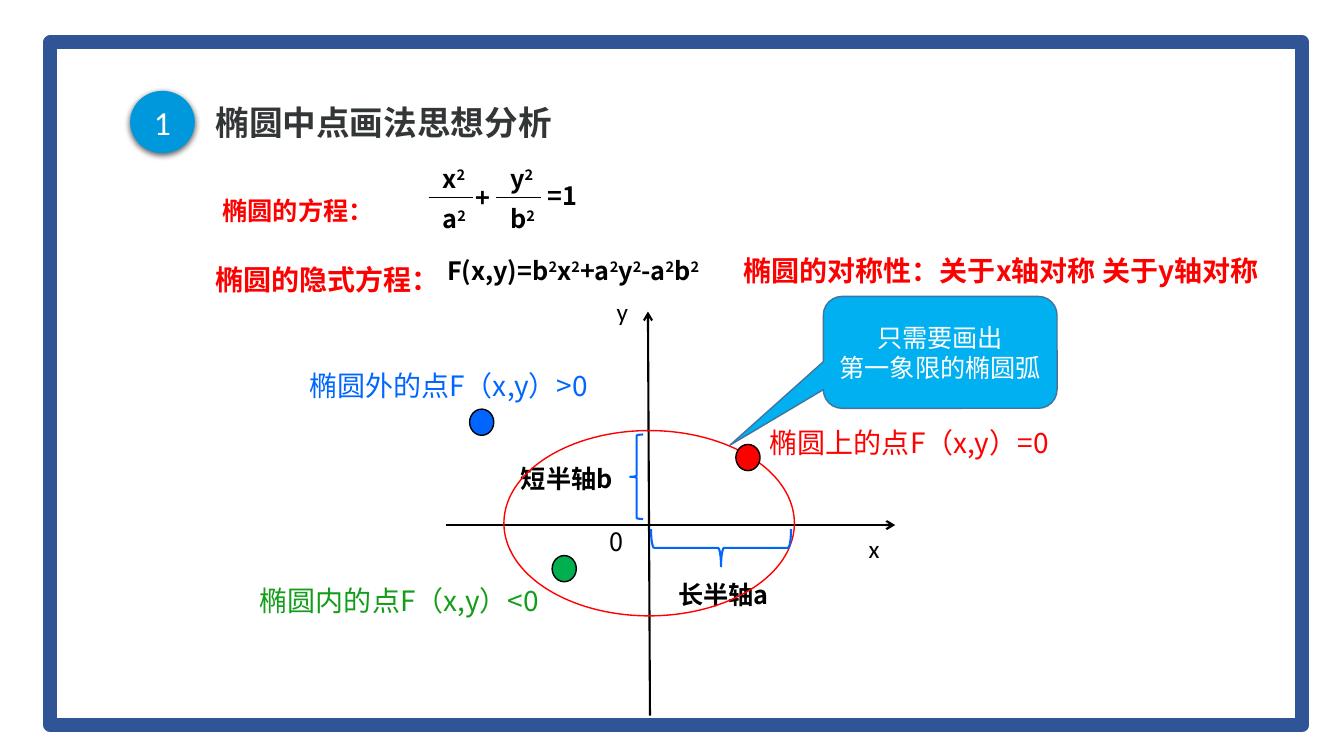
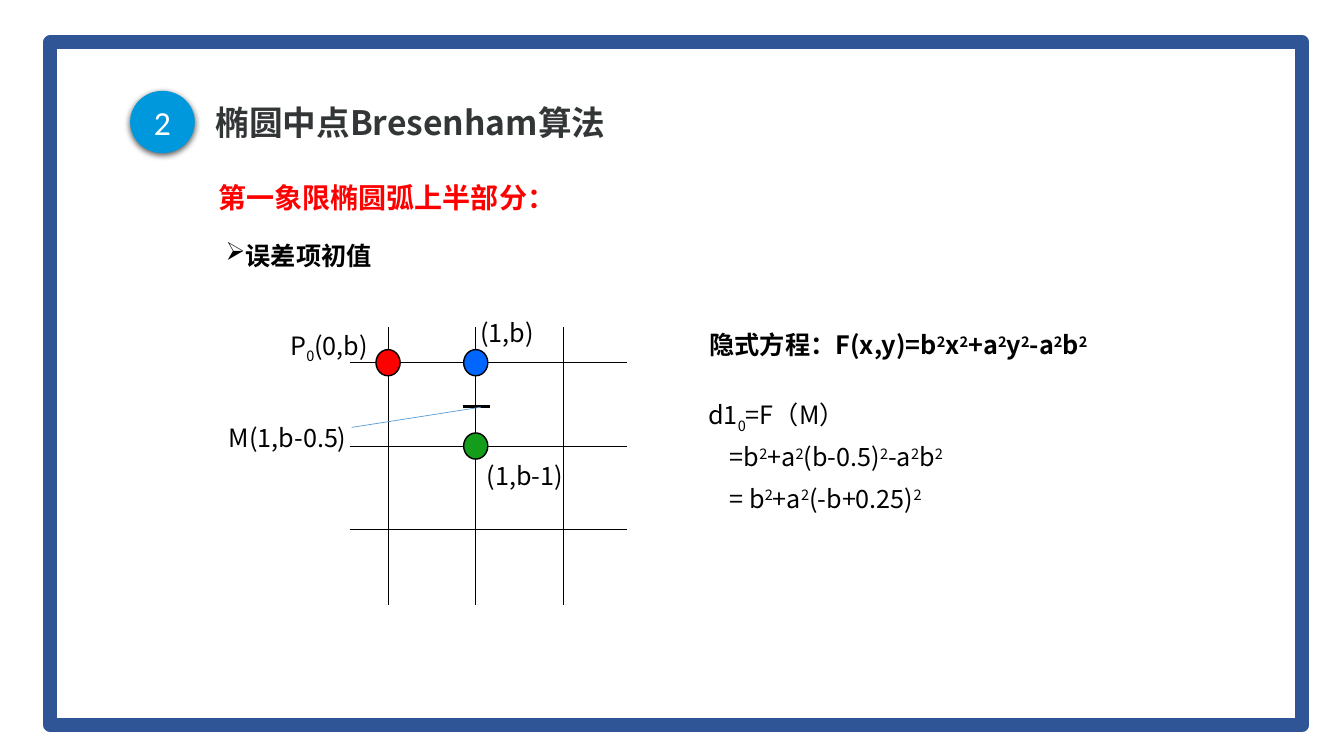
"""Build two slides on the midpoint algorithm for drawing an ellipse."""
from collections import namedtuple
from itertools import groupby

from lxml import etree
from pptx import Presentation
from pptx.dml.color import RGBColor
from pptx.enum.shapes import MSO_CONNECTOR, MSO_SHAPE
from pptx.enum.text import MSO_ANCHOR, MSO_AUTO_SIZE, PP_ALIGN
from pptx.oxml import parse_xml
from pptx.oxml.ns import nsdecls, qn
from pptx.util import Cm, Pt

STRAIGHT = MSO_CONNECTOR.STRAIGHT
RECT, OVAL = MSO_SHAPE.RECTANGLE, MSO_SHAPE.OVAL
LEFT_BRACE, RIGHT_BRACE = MSO_SHAPE.LEFT_BRACE, MSO_SHAPE.RIGHT_BRACE
CALLOUT = MSO_SHAPE.ROUNDED_RECTANGULAR_CALLOUT
MIDDLE, NO_FIT = MSO_ANCHOR.MIDDLE, MSO_AUTO_SIZE.NONE
LEFT, CENTER = PP_ALIGN.LEFT, PP_ALIGN.CENTER

BLACK = RGBColor(0x00, 0x00, 0x00)
WHITE = RGBColor(0xFF, 0xFF, 0xFF)
RED = RGBColor(0xFF, 0x00, 0x00)
BLUE = RGBColor(0x00, 0x66, 0xFF)
GREEN = RGBColor(0x13, 0x9D, 0x1A)
LEAF = RGBColor(0x00, 0xB0, 0x50)
SKY = RGBColor(0x00, 0xB0, 0xF0)
STEEL = RGBColor(0x43, 0x73, 0x9E)
LEADER = RGBColor(0x5B, 0x9B, 0xD5)
NAVY = RGBColor(0x2F, 0x55, 0x97)
BADGE = RGBColor(0x00, 0x98, 0xDD)
CHARCOAL = RGBColor(0x33, 0x36, 0x37)

SANS, LATIN = "Noto Sans CJK SC", "Calibri"
Style = namedtuple("Style", "size color bold font align spacing",
                   defaults=(BLACK, False, SANS, LEFT, None))
TITLE = Style(24, CHARCOAL, True, spacing=0.9)
NUMBER = Style(24, WHITE, font=LATIN, align=CENTER)
HEADING = Style(20, RED, True)
SUBHEADING = Style(18, RED, True)
FORMULA = Style(18, bold=True)
PLAIN = Style(18)
AXIS = Style(18, font=LATIN)
LABEL = Style(18, align=CENTER)
NOTE = Style(18, WHITE, align=CENTER)
DERIVATION = Style(18, spacing=0.9)
ON, OUTSIDE, INSIDE = (Style(20, c, spacing=0.9) for c in (RED, BLUE, GREEN))

SCRIPTS = {"²": ("2", 30000), "₀": ("0", -25000)}
POINT_W, POINT_H = 0.61, 0.66

IMPLICIT = "F(x,y)=b²x²+a²y²-a²b²"
ELLIPSE_TEXTS = [
    ("椭圆的方程：", SUBHEADING, 5.36, 4.8, 4.37),
    ("椭圆的隐式方程：", HEADING, 5.18, 6.48, 6.22),
    (IMPLICIT, FORMULA, 11.02, 6.3, 7.47),
    ("椭圆的对称性：关于x轴对称 关于y轴对称", HEADING, 18.49, 6.27, 14.1),
    ("+", FORMULA, 11.73, 4.47, 0.99),
    ("=1", FORMULA, 13.56, 4.42, 1.4),
    ("0", PLAIN, 15.11, 13.13, 0.89),
    ("y", AXIS, 15.29, 7.34, 0.81),
    ("x", AXIS, 21.64, 13.31, 2.69),
    ("短半轴b", FORMULA, 12.88, 11.56, 2.87),
    ("长半轴a", FORMULA, 16.84, 14.48, 2.79),
    ("椭圆上的点F（x,y）=0", ON, 19.15, 10.69, 9.45),
    ("椭圆外的点F（x,y）>0", OUTSIDE, 7.54, 9.25, 9.45),
    ("椭圆内的点F（x,y）<0", INSIDE, 6.3, 14.68, 9.45),
]
FRACTIONS = [("x²", "a²", 10.8), ("y²", "b²", 12.51)]
FRACTION_TOP, FRACTION_BAR, FRACTION_BOTTOM = 3.99, 4.98, 5.0
AXES = [(11.23, 13.23, 22.56, 13.23), (16.38, 18.03, 16.33, 7.85)]
ELLIPSE_POINTS = [(RED, 18.85, 11.53), (LEAF, 14.22, 14.33), (BLUE, 12.14, 10.64)]
CALLOUT_LINES = ["只需要画出", "第一象限的椭圆弧"]

GRID_LEFT, GRID_TOP, STEP_X, STEP_Y = 9.78, 9.14, 2.21, 2.1
COLUMNS = [GRID_LEFT + i * STEP_X for i in range(3)]
ROWS = [GRID_TOP + i * STEP_Y for i in range(3)]
GRID_POINTS = [(RED, 0, 0), (BLUE, 1, 0), (GREEN, 1, 1)]
GRID_TEXTS = [
    ("第一象限椭圆弧上半部分：", HEADING, 5.26, 4.42, 9.07),
    ("M(1,b-0.5)", LABEL, 5.41, 10.52, 3.68),
    ("P₀(0,b)", LABEL, 7.04, 8.2, 2.51),
    ("(1,b)", LABEL, 11.84, 7.87, 1.88),
    ("(1,b-1)", LABEL, 11.96, 11.48, 2.54),
    ("隐式方程：" + IMPLICIT, FORMULA, 17.63, 8.18, 10.67),
]
DERIVATION_LINES = ["d1₀=F（M）", "=b²+a²(b-0.5)²-a²b²", "= b²+a²(-b+0.25)²"]


def write(tf, lines, style):
    tf.word_wrap = True
    for i, line in enumerate(lines):
        p = tf.add_paragraph() if i else tf.paragraphs[0]
        p.alignment = style.align
        if style.spacing:
            p.line_spacing = style.spacing
        for script, chars in groupby(line, key=SCRIPTS.get):
            r = p.add_run()
            r.text = script[0] if script else "".join(chars)
            r.font.size = Pt(style.size)
            r.font.bold = style.bold
            r.font.color.rgb = style.color
            r.font.name = style.font
            rPr = r._r.get_or_add_rPr()
            etree.SubElement(rPr, qn("a:ea"), typeface=style.font)
            if script:
                rPr.set("baseline", str(script[1]))


def add_text(s, text, style, left, top, width, height=1.02):
    lines = [text] if isinstance(text, str) else text
    tf = s.shapes.add_textbox(Cm(left), Cm(top), Cm(width), Cm(height)).text_frame
    write(tf, lines, style)
    return tf


def add_shape(s, kind, left, top, width, height, fill=None, line=None, weight=1):
    sp = s.shapes.add_shape(kind, Cm(left), Cm(top), Cm(width), Cm(height))
    sp.shadow.inherit = False
    if fill is None:
        sp.fill.background()
    else:
        sp.fill.solid()
        sp.fill.fore_color.rgb = fill
    if line is None:
        sp.line.fill.background()
    else:
        sp.line.color.rgb = line
        sp.line.width = Pt(weight)
    return sp


def add_point(s, color, x, y):
    add_shape(s, OVAL, x - POINT_W / 2, y - POINT_H / 2, POINT_W, POINT_H, color, BLACK)


def add_line(s, x1, y1, x2, y2, weight=0.5, color=BLACK, arrow=False):
    line = s.shapes.add_connector(STRAIGHT, Cm(x1), Cm(y1), Cm(x2), Cm(y2))
    line.line.color.rgb = color
    line.line.width = Pt(weight)
    if arrow:
        etree.SubElement(line.line._get_or_add_ln(), qn("a:tailEnd"), type="arrow")
    etree.SubElement(line.element.spPr, qn("a:effectLst"))


def add_frame(layout, s):
    frame = add_shape(s, RECT, 1.27, 1.07, 31.55, 17.2, line=NAVY, weight=10)
    layout.shapes.element.append(frame.element)


def add_slide(prs, layout, number, title):
    s = prs.slides.add_slide(layout)
    sp = s.shapes.title
    sp.left, sp.top, sp.width, sp.height = Cm(5.18), Cm(2.36), Cm(21.21), Cm(1.55)
    sp.text_frame.vertical_anchor = MIDDLE
    sp.text_frame.auto_size = NO_FIT
    write(sp.text_frame, [title], TITLE)

    badge = add_shape(s, OVAL, 3.28, 2.29, 1.63, 1.57, BADGE)
    badge.element.spPr.find(qn("a:effectLst")).append(parse_xml(
        f'<a:outerShdw {nsdecls("a")} blurRad="{Pt(4.5)}" dist="{Pt(1.5)}" dir="5400000">'
        '<a:srgbClr val="000000"><a:alpha val="63000"/></a:srgbClr></a:outerShdw>'))
    badge.text_frame.vertical_anchor = MIDDLE
    write(badge.text_frame, [str(number)], NUMBER)
    return s


def draw_ellipse(s):
    for item in ELLIPSE_TEXTS:
        add_text(s, *item)
    for upper, lower, left in FRACTIONS:
        add_text(s, upper, FORMULA, left + 0.1, FRACTION_TOP, 1.19)
        add_text(s, lower, FORMULA, left + 0.1, FRACTION_BOTTOM, 1.19)
        add_line(s, left, FRACTION_BAR, left + 1.13, FRACTION_BAR)
    for axis in AXES:
        add_line(s, *axis, weight=1.5, arrow=True)
    add_shape(s, OVAL, 12.7, 10.85, 7.32, 4.67, line=RED)
    add_shape(s, LEFT_BRACE, 15.88, 10.95, 0.33, 2.13, line=BLUE, weight=1.5)
    brace = add_shape(s, RIGHT_BRACE, 17.7, 12.04, 0.94, 3.53, line=BLUE, weight=1.5)
    brace.rotation = 90
    for point in ELLIPSE_POINTS:
        add_point(s, *point)
    callout = add_shape(s, CALLOUT, 20.75, 7.47, 5.89, 2.82, SKY, STEEL)
    callout.adjustments[0], callout.adjustments[1] = -0.9, 0.83
    callout.text_frame.vertical_anchor = MIDDLE
    write(callout.text_frame, CALLOUT_LINES, NOTE)


def draw_grid(s):
    for x in COLUMNS:
        add_line(s, x, 8.25, x, 15.25)
    for y in ROWS:
        add_line(s, 8.81, y, 15.8, y)
    add_line(s, 11.66, 10.24, 12.34, 10.24, weight=2.25)
    add_line(s, 8.86, 10.77, 12.12, 10.26, color=LEADER)
    for color, column, row in GRID_POINTS:
        add_point(s, color, COLUMNS[column], ROWS[row])
    for item in GRID_TEXTS:
        add_text(s, *item)

    tf = add_text(s, "误差项初值", FORMULA, 5.44, 5.92, 4.22)
    etree.SubElement(tf.paragraphs[0]._p.get_or_add_pPr(), qn("a:buChar"), char="➢")

    tf = add_text(s, DERIVATION_LINES, DERIVATION, 17.6, 9.96, 7.32, 3.05)
    for p in tf.paragraphs[1:]:
        p.space_before = Pt(10)
        p._p.get_or_add_pPr().set("marL", str(Cm(0.54)))


def main():
    prs = Presentation()
    prs.slide_width, prs.slide_height = Cm(33.87), Cm(19.05)
    layout = prs.slide_layouts[5]
    s = add_slide(prs, layout, 1, "椭圆中点画法思想分析")
    add_frame(layout, s)
    draw_ellipse(s)
    draw_grid(add_slide(prs, layout, 2, "椭圆中点Bresenham算法"))
    prs.save("out.pptx")


if __name__ == "__main__":
    main()
